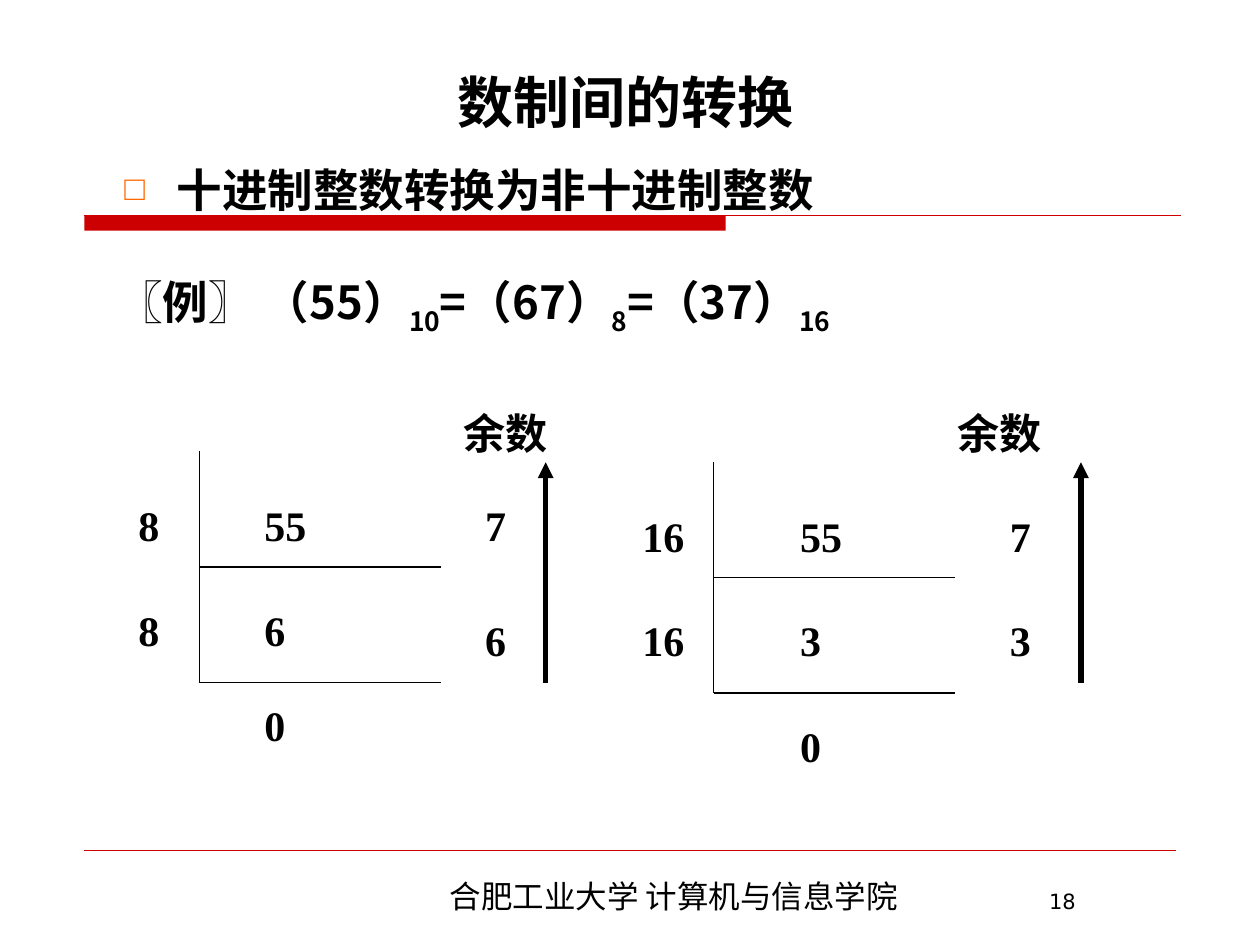
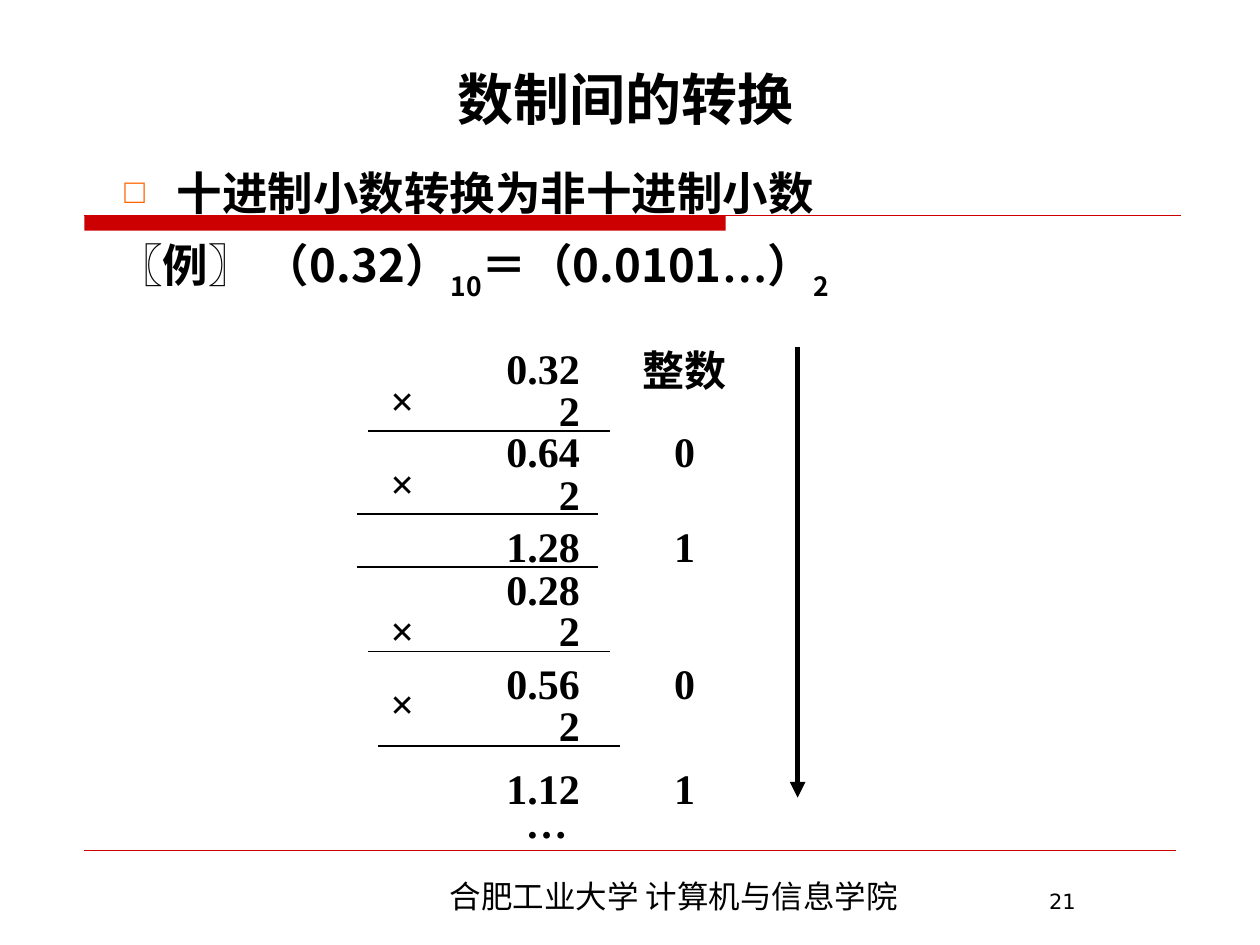
from lxml.etree import SubElement
from pptx import Presentation
from pptx.dml.color import RGBColor
from pptx.enum.shapes import MSO_CONNECTOR, MSO_SHAPE
from pptx.enum.text import MSO_ANCHOR, PP_ALIGN
from pptx.oxml.ns import qn
from pptx.util import Cm, Pt

RED = RGBColor(0xCC, 0x00, 0x00)
BLACK = RGBColor(0x00, 0x00, 0x00)
ORANGE = RGBColor(0xFF, 0x66, 0x00)
HAN = "Noto Sans CJK SC"
ROMAN = "Times New Roman"
SANS = "DejaVu Sans"
BAR = 4.87
HIGH = 1.27


def add_run(para, text, size, font, bold, sub=0):
    run = para.add_run()
    run.text = text
    run.font.size = Pt(size)
    run.font.name = font
    run.font.bold = bold
    run.font.color.rgb = BLACK
    props = run.font._element
    SubElement(props, qn("a:ea")).set("typeface", HAN)
    if sub:
        props.set("baseline", str(sub * 1000))


def add_text(slide, text, left, top, width, height, size=24, font=ROMAN,
             bold=True, align=PP_ALIGN.LEFT, anchor=MSO_ANCHOR.TOP, line=None):
    box = slide.shapes.add_textbox(Cm(left), Cm(top), Cm(width), Cm(height))
    frame = box.text_frame
    frame.word_wrap = True
    frame.vertical_anchor = anchor
    para = frame.paragraphs[0]
    para.alignment = align
    if line:
        para.line_spacing = Pt(line)
    add_run(para, text, size, font, bold)
    return frame


def add_line(slide, start, end, color=BLACK, width=0.75, arrow=False):
    points = [Cm(n) for n in start + end]
    rule = slide.shapes.add_connector(MSO_CONNECTOR.STRAIGHT, *points)
    rule.line.color.rgb = color
    rule.line.width = Pt(width)
    if arrow:
        SubElement(rule.line._get_or_add_ln(), qn("a:tailEnd")).set("type", "triangle")
    SubElement(rule._element.spPr, qn("a:effectLst"))


def add_bars(slide, spots):
    for left, top in spots:
        add_line(slide, (left, top), (left + BAR, top))


def add_column(slide, left, width, marks, align=PP_ALIGN.LEFT):
    for top, text in marks:
        add_text(slide, text, left, top, width, HIGH, align=align)


def add_label(slide, text, left, top):
    add_text(slide, text, left, top, 2.54, HIGH, line=30)


def add_bullet(para):
    props = para._p.get_or_add_pPr()
    props.set("marL", str(Cm(1.2)))
    props.set("indent", str(-Cm(1.05)))
    color = SubElement(SubElement(props, qn("a:buClr")), qn("a:srgbClr"))
    color.set("val", str(ORANGE))
    SubElement(props, qn("a:buSzPct")).set("val", "75000")
    SubElement(props, qn("a:buFont")).set("typeface", ROMAN)
    SubElement(props, qn("a:buChar")).set("char", "□")


def add_body(slide, head, parts, top, height, line, before, after=0, sub=-25):
    frame = add_text(slide, head, 2.11, top, 22.43, height, size=26, font=HAN,
                     align=PP_ALIGN.JUSTIFY, line=line)
    first = frame.paragraphs[0]
    add_bullet(first)
    first.space_after = Pt(after)
    para = frame.add_paragraph()
    para.alignment = PP_ALIGN.JUSTIFY
    para.line_spacing = Pt(line)
    para.space_before = Pt(before)
    for text, low in parts:
        font = ROMAN if text == "…" else HAN
        add_run(para, text, 26, font, True, sub if low else 0)


def add_page(deck, number, top, height):
    slide = deck.slides.add_slide(deck.slide_layouts[6])
    band = slide.shapes.add_shape(MSO_SHAPE.RECTANGLE, Cm(1.7), Cm(4.34), Cm(12.93), Cm(0.31))
    band.shadow.inherit = False
    band.fill.solid()
    band.fill.fore_color.rgb = RED
    band.line.fill.background()
    add_line(slide, (1.7, 4.34), (23.8, 4.34), RED)
    add_line(slide, (1.7, 17.15), (23.7, 17.15), RED, 0.25)
    add_text(slide, "合肥工业大学 计算机与信息学院", 5.89, 17.53, 15.39, 1.02,
             size=18, font=HAN, bold=False, align=PP_ALIGN.CENTER, line=22.5)
    add_text(slide, number, 20.9, 17.78, 3.81, 0.74, size=12, font=SANS, bold=False)
    add_text(slide, "数制间的转换", 1.5, top, 22.23, height, size=32, font=HAN,
             align=PP_ALIGN.CENTER, anchor=MSO_ANCHOR.BOTTOM)
    return slide


def add_division(slide, left, top, arrow):
    foot = top + 4.66
    add_line(slide, (left, top), (left, foot))
    add_bars(slide, [(left, top + 2.33), (left, foot)])
    add_line(slide, (arrow, 13.76), (arrow, 9.32), width=3, arrow=True)


def build_whole(deck):
    slide = add_page(deck, "18", 0.53, 2.31)
    parts = [("〖例〗 （55）", False), ("10", True), ("=（67）", False),
             ("8", True), ("=（37）", False), ("16", True)]
    add_body(slide, "十进制整数转换为非十进制整数", parts, 2.51, 15.04, 49, 9.8, after=9.8)

    add_division(slide, 4.02, 9.1, 11)
    add_column(slide, 2.54, 1.07, [(9.95, "8"), (12.07, "8")])
    add_column(slide, 5.08, 1.7, [(9.95, "55"), (12.07, "6"), (13.97, "0")])
    add_column(slide, 9.53, 1.07, [(9.95, "7"), (12.27, "6")])
    add_label(slide, "余数", 9.09, 8.05)

    add_division(slide, 14.39, 9.31, 21.79)
    add_column(slide, 12.7, 1.7, [(10.16, "16"), (12.27, "16")])
    add_column(slide, 15.88, 1.9, [(10.16, "55"), (12.27, "3"), (14.4, "0")])
    add_column(slide, 20.11, 1.07, [(10.16, "7"), (12.27, "3")])
    add_label(slide, "余数", 19.05, 8.05)


def build_part(deck):
    slide = add_page(deck, "21", 0.71, 2.08)
    parts = [("〖例〗 （0.32）", False), ("10", True), ("＝（0.0101", False),
             ("…", False), ("）", False), ("2", True)]
    add_body(slide, "十进制小数转换为非十进制小数", parts, 2.92, 14.66, 39, 8.2, sub=-30)

    steps = [(6.78, "0.32"), (7.62, "2"), (8.46, "0.64"), (9.32, "2"),
             (10.36, "1.28"), (11.23, "0.28"), (12.07, "2"),
             (13.13, "0.56"), (13.97, "2"), (15.24, "1.12")]
    add_column(slide, 9.53, 2.41, steps, PP_ALIGN.RIGHT)
    add_column(slide, 9.75, 2.54, [(15.93, "…")], PP_ALIGN.CENTER)
    add_column(slide, 7.62, 1.27, [(top, "×") for top in (7.42, 9.09, 12.07, 13.54)])
    add_column(slide, 13.34, 1.27,
               [(8.46, "0"), (10.36, "1"), (13.13, "0"), (15.24, "1")])
    add_bars(slide, [(7.42, 8.69), (7.19, 10.36), (7.19, 11.43),
                     (7.42, 13.13), (7.62, 15.04)])
    add_label(slide, "整数", 12.7, 6.78)
    add_line(slide, (16.08, 6.99), (16.08, 16.08), width=3, arrow=True)


def main():
    deck = Presentation()
    deck.slide_width = Cm(25.4)
    deck.slide_height = Cm(19.05)
    build_whole(deck)
    build_part(deck)
    deck.save("out.pptx")


if __name__ == "__main__":
    main()
